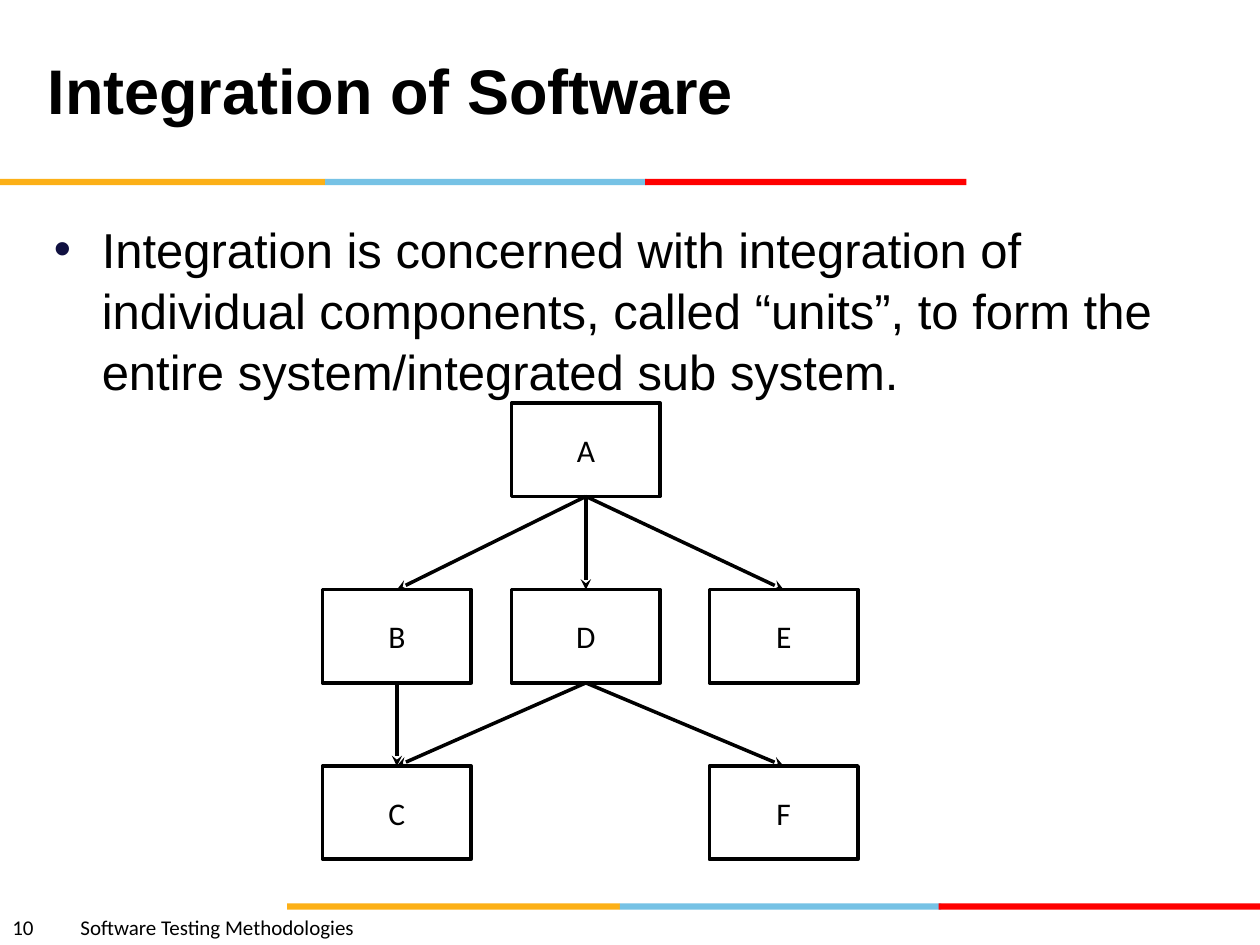
"""Build the slide on integration of software units."""
from typing import NamedTuple

import pptx
import pptx.dml.color
import pptx.enum.shapes
import pptx.enum.text
import pptx.oxml
import pptx.oxml.ns
import pptx.util
from pptx.util import Inches

BLACK, WHITE = "000000", "FFFFFF"
AMBER, SKY, RED = "FCB017", "76C2E5", "FF0000"
MIDDLE = pptx.enum.text.MSO_ANCHOR.MIDDLE
TOP = pptx.enum.text.MSO_ANCHOR.TOP


class Bar(NamedTuple):
    """A coloured strip of a rule."""
    left: float
    top: float
    width: float
    color: str


class Unit(NamedTuple):
    """A named component box."""
    name: str
    left: float
    top: float


class Call(NamedTuple):
    """An arrow from one unit down to another."""
    start: str
    end: str


BARS = [
    Bar(0, 1.42, 2.58, AMBER),
    Bar(2.58, 1.42, 2.55, SKY),
    Bar(5.12, 1.42, 2.55, RED),
    Bar(2.28, 7.17, 2.64, AMBER),
    Bar(4.92, 7.17, 2.55, SKY),
    Bar(7.45, 7.17, 2.55, RED),
]
LEFT, MID, RIGHT = 2.56, 4.06, 5.63
HIGH, CORE, LOW = 3.2, 4.68, 6.08
UNITS = [
    Unit("A", MID, HIGH),
    Unit("B", LEFT, CORE),
    Unit("D", MID, CORE),
    Unit("E", RIGHT, CORE),
    Unit("C", LEFT, LOW),
    Unit("F", RIGHT, LOW),
]
CALLS = [Call(*pair) for pair in ("AB", "AD", "AE", "BC", "DC", "DF")]


def tint(code: str) -> pptx.dml.color.RGBColor:
    """Turn a hex string into a colour."""
    return pptx.dml.color.RGBColor.from_string(code)


def style(par, size: float, face: str, bold: bool = False) -> None:
    """Format every run of a paragraph."""
    for run in par.runs:
        run.font.size = pptx.util.Pt(size)
        run.font.name = face
        run.font.bold = bold
        run.font.color.rgb = tint(BLACK)


def add_rect(slide, left: float, top: float, width: float, height: float, color: str):
    """Draw a plain filled rectangle without a line."""
    kind = pptx.enum.shapes.MSO_SHAPE.RECTANGLE
    shape = slide.shapes.add_shape(
        kind, Inches(left), Inches(top), Inches(width), Inches(height))
    shape.shadow.inherit = False
    shape.fill.solid()
    shape.fill.fore_color.rgb = tint(color)
    shape.line.fill.background()
    return shape


def add_unit(slide, unit: Unit):
    """Draw a component box with its name."""
    shape = add_rect(slide, unit.left, unit.top, 1.18, 0.74, WHITE)
    shape.line.color.rgb = tint(BLACK)
    shape.line.width = pptx.util.Pt(2)
    frame = shape.text_frame
    frame.text = unit.name
    frame.vertical_anchor = MIDDLE
    par = frame.paragraphs[0]
    par.alignment = pptx.enum.text.PP_ALIGN.CENTER
    style(par, 18, "Calibri")
    return shape


def add_call(slide, start, end) -> None:
    """Join the bottom of one box to the top of another."""
    kind = pptx.enum.shapes.MSO_CONNECTOR.STRAIGHT
    link = slide.shapes.add_connector(kind, 0, 0, 0, 0)
    link.begin_connect(start, 2)
    link.end_connect(end, 0)
    link.line.color.rgb = tint(BLACK)
    link.line.width = pptx.util.Pt(2)
    add_node(link.line._get_or_add_ln(), "tailEnd", type="stealth")
    add_node(link._element.spPr, "effectLst")


def add_node(parent, tag: str, **attrs: str):
    """Append a drawing element with its attributes."""
    node = parent.makeelement(pptx.oxml.ns.qn("a:" + tag), attrs)
    parent.append(node)
    return node


def add_text(slide, left: float, top: float, width: float, height: float,
             text: str, anchor=TOP):
    """Add a wrapping text box and return its frame."""
    box = slide.shapes.add_textbox(
        Inches(left), Inches(top), Inches(width), Inches(height))
    frame = box.text_frame
    frame.word_wrap = True
    frame.vertical_anchor = anchor
    frame.text = text
    return frame


def add_body(slide) -> None:
    """Add the bulleted statement."""
    frame = add_text(
        slide, 0.33, 1.63, 9, 4.95,
        "Integration is concerned with integration of individual components, "
        "called “units”, to form the entire system/integrated sub system.")
    frame.margin_top = Inches(0.09)
    par = frame.paragraphs[0]
    par.line_spacing = 1.04
    props = par._p.get_or_add_pPr()
    props.set("marL", str(Inches(0.38)))
    props.set("indent", str(-Inches(0.38)))
    add_node(add_node(props, "buClr"), "srgbClr", val="101141")
    add_node(props, "buFont", typeface="Arial")
    add_node(props, "buChar", char="•")
    style(par, 28, "Arial")


def add_foot(slide) -> None:
    """Add the page number and course name, split by a tab."""
    frame = add_text(slide, 0, 7.21, 5, 0.3, "10\tSoftware Testing Methodologies")
    par = frame.paragraphs[0]
    tabs = add_node(par._p.get_or_add_pPr(), "tabLst")
    add_node(tabs, "tab", pos=str(Inches(0.54)), algn="l")
    style(par, 12, "Calibri")


def main() -> None:
    """Build and save the slide."""
    deck = pptx.Presentation()
    deck.slide_width, deck.slide_height = Inches(10), Inches(7.5)
    slide = deck.slides.add_slide(deck.slide_layouts[6])
    for bar in BARS:
        add_rect(slide, bar.left, bar.top, bar.width, 0.05, bar.color)
    add_foot(slide)
    add_body(slide)
    title = add_text(slide, 0.28, 0.08, 6.85, 1.25, "Integration of Software", MIDDLE)
    style(title.paragraphs[0], 36, "Arial", True)
    boxes = {unit.name: add_unit(slide, unit) for unit in UNITS}
    for call in CALLS:
        add_call(slide, boxes[call.start], boxes[call.end])
    deck.save("out.pptx")


if __name__ == "__main__":
    main()
